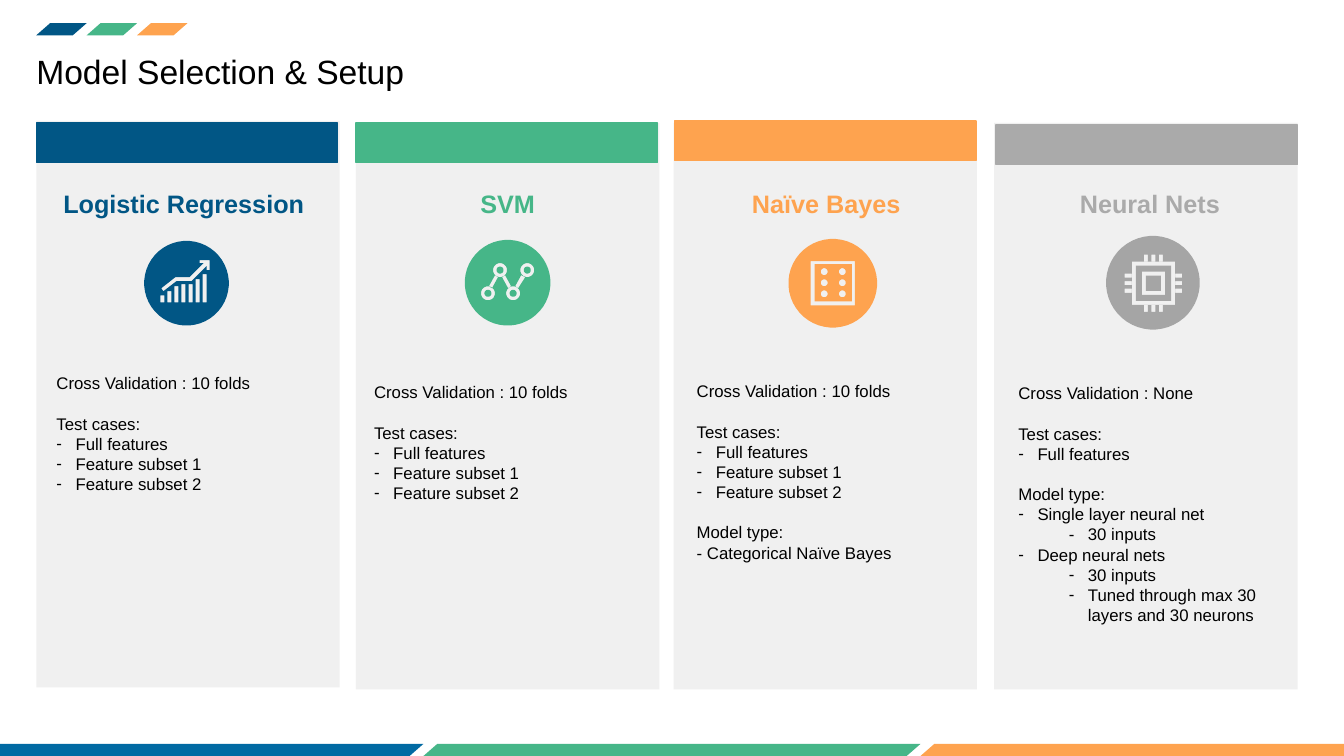
"""Build the model selection slide with four model columns."""
from math import cos, pi, sin, sqrt
from lxml import etree
from pptx import Presentation
from pptx.dml.color import RGBColor
from pptx.enum.shapes import MSO_SHAPE
from pptx.enum.text import MSO_ANCHOR, MSO_AUTO_SIZE, PP_ALIGN
from pptx.oxml.ns import qn
from pptx.util import Inches, Pt

BLUE, GREEN, ORANGE, GREY = "015685", "46B688", "FEA34F", "AAAAAA"
rgb = RGBColor.from_string

prs = Presentation()
prs.slide_width, prs.slide_height = Inches(13.33), Inches(7.5)
slide = prs.slides.add_slide(prs.slide_layouts[4])


def add_block(kind, left, top, width, height, fill, line=None):
    block = slide.shapes.add_shape(
        kind, Inches(left), Inches(top), Inches(width), Inches(height))
    block.shadow.inherit = False
    block.fill.solid()
    block.fill.fore_color.rgb = rgb(fill)
    if line:
        block.line.color.rgb = rgb(line)
        block.line.width = Pt(1)
    else:
        block.line.fill.background()
    return block


def outline(left, top, width, height, sides=4):
    stretch = sqrt(2) if sides == 4 else 1
    angles = [2 * pi * (i + 0.5) / sides for i in range(sides)]
    return [(left + width / 2 * (1 + stretch * cos(a)),
             top + height / 2 * (1 + stretch * sin(a))) for a in angles]


title = slide.shapes.title
title.left, title.top = Inches(0.36), Inches(0.5)
title.width, title.height = Inches(5.76), Inches(0.4)
title_frame = title.text_frame
title_frame.margin_left = title_frame.margin_right = 0
title_frame.margin_top = title_frame.margin_bottom = 0
title_frame.vertical_anchor = MSO_ANCHOR.MIDDLE
title_frame.auto_size = MSO_AUTO_SIZE.NONE
title_frame.paragraphs[0].alignment = PP_ALIGN.LEFT
title_run = title_frame.paragraphs[0].add_run()
title_run.text = "Model Selection & Setup"
title_run.font.name, title_run.font.size = "Arial", Pt(24)
title_run.font.color.rgb = rgb("000000")

for left, top, width, first in [(0.36, 0.23, 0.5, BLUE), (-0.73, 7.38, 4.93, "016AA3")]:
    for i, color in enumerate([first, GREEN, ORANGE]):
        stripe = add_block(MSO_SHAPE.PARALLELOGRAM, left + i * width, top, width, 0.12, color)
        stripe.adjustments[0] = 1.144

PLAIN, DASH, SUBDASH = -1, 0, 1
subsets = [
    (PLAIN, "Cross Validation : 10 folds"),
    (PLAIN, "Test cases:"),
    (DASH, "Full features"),
    (DASH, "Feature subset 1"),
    (DASH, "Feature subset 2"),
]
bayes_setup = subsets + [(PLAIN, "Model type:"), (PLAIN, "- Categorical Naïve Bayes")]
neural_setup = [
    (PLAIN, "Cross Validation : None"),
    (PLAIN, "Test cases:"),
    (DASH, "Full features"),
    (PLAIN, "Model type:"),
    (DASH, "Single layer neural net"),
    (SUBDASH, "30 inputs"),
    (DASH, "Deep neural nets"),
    (SUBDASH, "30 inputs"),
    (SUBDASH, "Tuned through max 30 layers and 30 neurons"),
]

growth = [outline(1.59 + 0.07 * i, top, 0.04, 3 - top)
          for i, top in enumerate([2.93, 2.89, 2.84, 2.82, 2.82, 2.77, 2.72])]
growth.append([(1.6, 2.86), (1.74, 2.75), (1.88, 2.75), (2.02, 2.61), (1.98, 2.61),
               (1.98, 2.58), (2.08, 2.58), (2.08, 2.68), (2.05, 2.68), (2.05, 2.64),
               (1.9, 2.79), (1.75, 2.79), (1.62, 2.89)])

network = [
    [(4.91, 2.73), (4.85, 2.84), (4.88, 2.86), (4.94, 2.75)],
    [(5.01, 2.73), (5.07, 2.84), (5.04, 2.86), (4.98, 2.75)],
    [(5.17, 2.73), (5.11, 2.84), (5.14, 2.86), (5.21, 2.75)],
]
for x, y in [(4.84, 2.91), (4.96, 2.68), (5.09, 2.91), (5.23, 2.68)]:
    for radius in (0.07, 0.035):
        network.append(outline(x - radius, y - radius, 2 * radius, 2 * radius, 16))

dice = [outline(8.04, 2.59, 0.44, 0.44), outline(8.08, 2.62, 0.37, 0.37)]
dice += [outline(x, y, 0.07, 0.07, 12) for x in (8.14, 8.32) for y in (2.66, 2.77, 2.88)]

chip_x, chip_y = 11.44, 2.81
chip = [outline(chip_x - half, chip_y - half, 2 * half, 2 * half)
        for half in (0.215, 0.175, 0.115, 0.075)]
for shift in (-0.095, -0.02, 0.055):
    for reach in (-0.285, 0.215):
        chip.append(outline(chip_x + shift, chip_y + reach, 0.04, 0.07))
        chip.append(outline(chip_x + reach, chip_y + shift, 0.07, 0.04))

columns = [
    ("Logistic Regression", BLUE, PP_ALIGN.LEFT, (0.36, 1.2), (0.36, 1.22), 0.53,
     (1.43, 2.39, 0.84, BLUE, growth), (0.46, 3.65, 1.51), subsets),
    ("SVM", GREEN, PP_ALIGN.CENTER, (3.53, 1.22), (3.53, 1.22), 3.65,
     (4.61, 2.38, 0.85, GREEN, network), (3.61, 3.74, 1.51), subsets),
    ("Naïve Bayes", ORANGE, PP_ALIGN.CENTER, (6.68, 1.22), (6.69, 1.2), 6.81,
     (7.82, 2.37, 0.88, ORANGE, dice), (6.81, 3.73, 2.12), bayes_setup),
    ("Neural Nets", GREY, PP_ALIGN.CENTER, (9.86, 1.22), (9.88, 1.24), 10.02,
     (10.97, 2.34, 0.93, "A5A5A5", chip), (10, 3.75, 2.52), neural_setup),
]
bodies = [holder for holder in slide.placeholders if holder.placeholder_format.idx > 0]

for body, column in zip(bodies, columns):
    model, color, align, panel_at, band_at, heading_left, icon, setup_at, setup = column
    panel = add_block(MSO_SHAPE.RECTANGLE, *panel_at, 3.01, 5.62, "CFCFCF")
    panel_color = panel.fill._xPr.find(qn("a:solidFill"))[0]
    etree.SubElement(panel_color, qn("a:alpha"), val="30000")
    add_block(MSO_SHAPE.RECTANGLE, *band_at, 2.99, 0.39, color, color)

    heading = slide.shapes.add_textbox(
        Inches(heading_left), Inches(1.82), Inches(2.77), Inches(0.4))
    heading.text_frame.word_wrap = True
    heading.text_frame.paragraphs[0].alignment = align
    heading_run = heading.text_frame.paragraphs[0].add_run()
    heading_run.text = model
    heading_run.font.name, heading_run.font.size = "Arial", Pt(18)
    heading_run.font.bold = True
    heading_run.font.color.rgb = rgb(color)

    icon_left, icon_top, diameter, icon_color, cutouts = icon
    builder = slide.shapes.build_freeform(scale=1.0)
    for contour in [outline(icon_left, icon_top, diameter, diameter, 48)] + cutouts:
        corners = [(Inches(x), Inches(y)) for x, y in contour]
        builder.move_to(*corners[0])
        builder.add_line_segments(corners[1:], close=True)
    badge = builder.convert_to_shape()
    badge.shadow.inherit = False
    badge.fill.solid()
    badge.fill.fore_color.rgb = rgb(icon_color)
    badge.line.fill.background()

    body.left, body.top = Inches(setup_at[0]), Inches(setup_at[1])
    body.width, body.height = Inches(2.77), Inches(setup_at[2])
    body.text_frame.vertical_anchor = MSO_ANCHOR.TOP
    body.text_frame.auto_size = MSO_AUTO_SIZE.NONE
    slide.shapes._spTree.append(body._element)
    for i, (level, text) in enumerate(setup):
        line = body.text_frame.paragraphs[0] if i == 0 else body.text_frame.add_paragraph()
        line.level = max(level, 0)
        line.line_spacing = Pt(14.4)
        line.space_before = Pt(14.4 if text.endswith(":") else 0)
        props = line._p.get_or_add_pPr()
        if level == PLAIN:
            props.set("marL", "0")
            props.set("indent", "0")
            etree.SubElement(props, qn("a:buNone"))
        else:
            props.set("marL", str(Inches(0.19 + 0.5 * level)))
            props.set("indent", str(Inches(-0.19)))
            etree.SubElement(props, qn("a:buFont"), typeface="Arial")
            etree.SubElement(props, qn("a:buChar"), char="-")
        run = line.add_run()
        run.text = text
        run.font.name, run.font.size = "Arial", Pt(12)
        run.font.bold = False
        run.font.color.rgb = rgb("000000")

prs.save("out.pptx")
